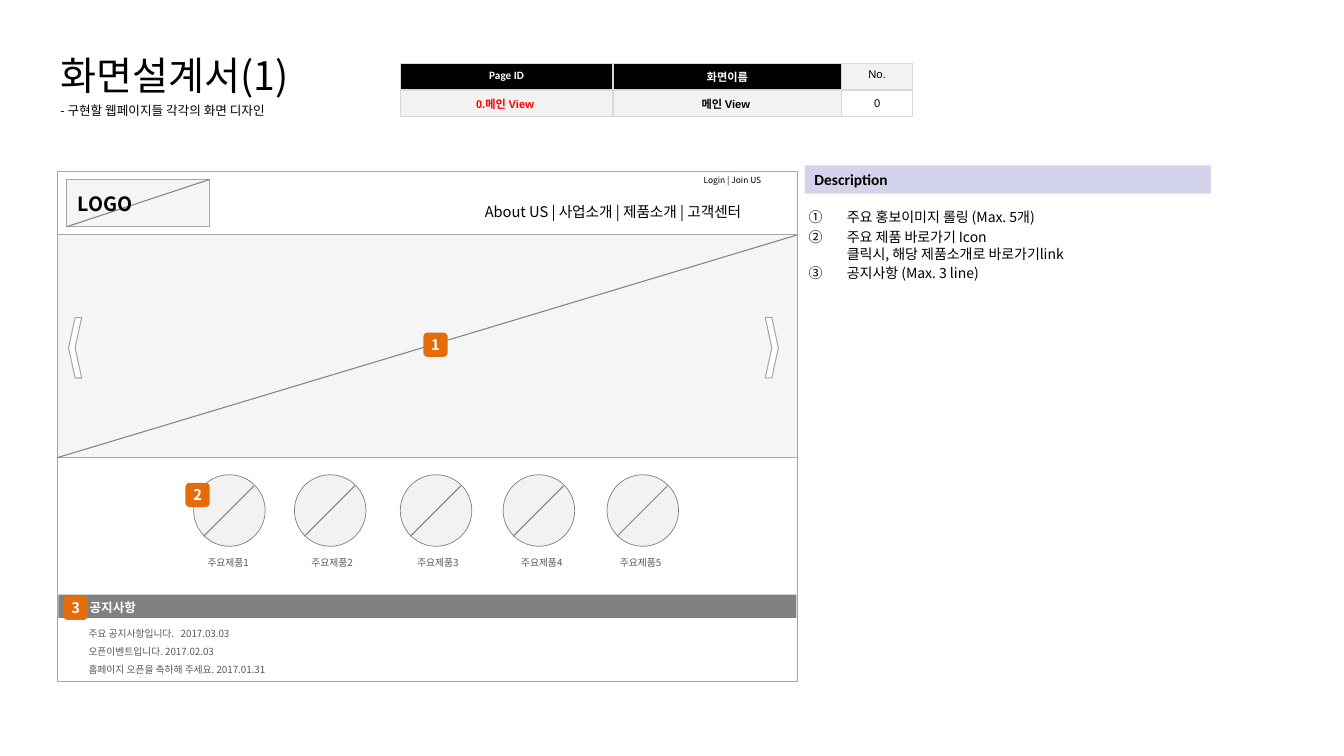
"""Build a screen design slide with a web page wireframe and its description."""
from lxml.etree import SubElement
from pptx import Presentation
from pptx.dml.color import RGBColor
from pptx.enum.shapes import MSO_CONNECTOR, MSO_SHAPE as SHAPE
from pptx.enum.text import MSO_ANCHOR as ANCHOR, MSO_AUTO_SIZE as AUTO, PP_ALIGN as ALIGN
from pptx.oxml.ns import qn
from pptx.util import Inches, Pt

FONT = "Noto Sans CJK KR"
COLORS = {
    "black": "000000", "white": "FFFFFF", "red": "FF0000", "text": "595959",
    "pale": "F2F2F2", "border": "D9D9D9", "edge": "A6A6A6", "gray": "808080",
    "badge": "E46C0A", "lilac": "D3D3EB",
}


def rgb(name):
    return RGBColor.from_string(COLORS[name])


def add_run(p, text, size, color="black", bold=False, font=FONT):
    r = p.add_run()
    r.text = text
    r.font.size = Pt(size)
    r.font.bold = bold
    r.font.name = font
    r.font.color.rgb = rgb(color)
    SubElement(r._r.get_or_add_rPr(), qn("a:ea"), typeface=FONT)


def write(sp, lines, size, color="black", bold=False, font=FONT, align=ALIGN.LEFT,
          anchor=ANCHOR.MIDDLE, wrap=True, spacing=None, side=0.1):
    tf = sp.text_frame
    tf.word_wrap = wrap
    tf.auto_size = AUTO.NONE
    tf.vertical_anchor = anchor
    tf.margin_left = tf.margin_right = Inches(side)
    for i, line in enumerate(lines):
        p = tf.add_paragraph() if i else tf.paragraphs[0]
        p.alignment = align
        p.line_spacing = spacing
        add_run(p, line, size, color, bold, font)


def add_text(slide, box, text, size, **style):
    sp = slide.shapes.add_textbox(*map(Inches, box))
    write(sp, [text], size, **style)


def add_box(slide, kind, box, fill=None, line=None, width=0.75, opacity=None):
    sp = slide.shapes.add_shape(kind, *map(Inches, box))
    sp.shadow.inherit = False
    if fill:
        sp.fill.solid()
        sp.fill.fore_color.rgb = rgb(fill)
    else:
        sp.fill.background()
    if opacity:
        color = sp.fill._xPr.find(".//" + qn("a:srgbClr"))
        SubElement(color, qn("a:alpha"), val=str(opacity * 1000))
    if line:
        sp.line.color.rgb = rgb(line)
        sp.line.width = Pt(width)
    else:
        sp.line.fill.background()
    return sp


def add_diagonal(slide, left, top, width, height):
    ends = left + width, top, left, top + height
    line = slide.shapes.add_connector(MSO_CONNECTOR.STRAIGHT, *map(Inches, ends))
    line.line.color.rgb = rgb("gray")
    line.line.width = Pt(0.75)
    SubElement(line._element.spPr, qn("a:effectLst"))


def add_image_slot(slide, box):
    add_box(slide, SHAPE.RECTANGLE, box, "pale", "edge", opacity=70)
    add_diagonal(slide, *box)


def add_product(slide, left, label_left, label):
    add_box(slide, SHAPE.OVAL, (left, 4.71, 0.71, 0.71), "pale", "gray", 0.5)
    add_diagonal(slide, left + 0.1, 4.82, 0.5, 0.5)
    add_text(slide, (label_left, 5.46, 0.78, 0.25), label, 7, color="text")


def add_badge(slide, left, top, number):
    sp = add_box(slide, SHAPE.ROUNDED_RECTANGLE, (left, top, 0.24, 0.24), "badge")
    write(sp, [number], 10.5, "white", True, align=ALIGN.CENTER, side=0)


def add_borders(cell):
    tc_pr = cell._tc.get_or_add_tcPr()
    for i, side in enumerate(("lnL", "lnR", "lnT", "lnB")):
        ln = tc_pr.makeelement(qn("a:" + side), {"w": str(Pt(1))})
        fill = SubElement(ln, qn("a:solidFill"))
        SubElement(fill, qn("a:srgbClr"), val=COLORS["border"])
        tc_pr.insert(i, ln)


def add_page_table(slide):
    rows = [
        [("Page ID", "white", True, "black", "Calibri"),
         ("화면이름", "white", True, "black", "Calibri"),
         ("No.", "black", False, "pale", "Arial")],
        [("0.메인 View ", "red", True, "pale", "Arial"),
         ("메인 View ", "black", True, "pale", "Arial"),
         ("0", "black", False, "white", "Arial")],
    ]
    box = map(Inches, (3.97, 0.63, 5.08, 0.52))
    table = slide.shapes.add_table(2, 3, *box).table
    table.first_row = table.horz_banding = False
    for column, width in zip(table.columns, (2.11, 2.27, 0.7)):
        column.width = Inches(width)
    for i, row in enumerate(rows):
        for j, (text, color, bold, fill, font) in enumerate(row):
            cell = table.cell(i, j)
            cell.fill.solid()
            cell.fill.fore_color.rgb = rgb(fill)
            cell.vertical_anchor = ANCHOR.MIDDLE if i else ANCHOR.TOP
            p = cell.text_frame.paragraphs[0]
            p.alignment = ALIGN.CENTER
            add_run(p, text, 8, color, bold, font)
            add_borders(cell)


def add_description(slide):
    items = [
        ["주요 홍보이미지 롤링 (Max. 5개)"],
        ["주요 제품 바로가기 Icon", "클릭시, 해당 제품소개로 바로가기link"],
        ["공지사항 (Max. 3 line)"],
    ]
    header = add_box(slide, SHAPE.RECTANGLE, (7.98, 1.64, 4.03, 0.28), "lilac")
    write(header, ["Description"], 11, bold=True, font="Calibri")
    sp = slide.shapes.add_textbox(*map(Inches, (7.98, 2.02, 4.03, 4.75)))
    tf = sp.text_frame
    tf.word_wrap = True
    tf.margin_left, tf.margin_right = Inches(0.04), 0
    for i, lines in enumerate(items):
        p = tf.add_paragraph() if i else tf.paragraphs[0]
        p.space_before = Pt(2)
        p_pr = p._p.get_or_add_pPr()
        p_pr.set("marL", str(Inches(0.38)))
        p_pr.set("indent", str(-Inches(0.38)))
        SubElement(p_pr, qn("a:buFont"), typeface=FONT)
        SubElement(p_pr, qn("a:buAutoNum"), type="circleNumDbPlain")
        for j, line in enumerate(lines):
            if j:
                p.add_line_break()
            add_run(p, line, 10)


def add_header(slide):
    add_box(slide, SHAPE.RECTANGLE, (0.57, 1.7, 7.34, 0.63), "white", "edge", opacity=70)
    add_text(slide, (4.71, 1.96, 3.01, 0.28),
             "About US | 사업소개 | 제품소개 | 고객센터", 10.5, wrap=False)
    add_text(slide, (6.88, 1.69, 0.78, 0.2), "Login | Join US", 6, wrap=False)
    add_image_slot(slide, (0.66, 1.78, 1.42, 0.47))
    add_text(slide, (0.67, 1.86, 0.74, 0.33), "LOGO", 14, bold=True, wrap=False)


def add_notices(slide):
    notices = ["주요 공지사항입니다.   2017.03.03", "오픈이벤트입니다. 2017.02.03",
               "홈페이지 오픈을 축하해 주세요. 2017.01.31"]
    add_text(slide, (0.79, 5.9, 0.78, 0.25), "공지사항", 9, color="white", bold=True)
    sp = slide.shapes.add_textbox(*map(Inches, (0.78, 6.18, 4.21, 0.51)))
    write(sp, notices, 7, "text", spacing=1.5)


def main():
    prs = Presentation()
    prs.slide_width, prs.slide_height = Inches(13.33), Inches(7.5)
    slide = prs.slides.add_slide(prs.slide_layouts[5])
    title = slide.shapes.title
    title.left, title.top, title.width, title.height = map(Inches, (0.5, 0.41, 12.49, 0.67))
    write(title, ["화면설계서(1)"], 28)
    add_text(slide, (0.5, 0.93, 12.49, 0.33), "- 구현할 웹페이지들 각각의 화면 디자인", 9)
    add_page_table(slide)

    add_box(slide, SHAPE.RECTANGLE, (0.57, 1.7, 7.34, 5.06), "white", "edge", opacity=70)
    add_box(slide, SHAPE.RECTANGLE, (0.58, 5.9, 7.32, 0.23), "gray")
    add_image_slot(slide, (0.57, 2.33, 7.34, 2.21))
    for left, rotation in ((7.59, 0), (0.68, 180)):
        arrow = add_box(slide, SHAPE.CHEVRON, (left, 3.15, 0.13, 0.6), "white", "edge")
        arrow.rotation = rotation
    add_header(slide)
    lefts = (1.92, 2.92, 3.97, 4.99, 6.02)
    label_lefts = (1.96, 2.99, 4.04, 5.07, 6.05)
    for i, (left, label_left) in enumerate(zip(lefts, label_lefts), 1):
        add_product(slide, left, label_left, f"주요제품{i}")
    add_notices(slide)
    for left, top, number in ((1.84, 4.79, "2"), (4.2, 3.3, "1"), (0.63, 5.91, "3")):
        add_badge(slide, left, top, number)
    add_description(slide)
    prs.save("out.pptx")


if __name__ == "__main__":
    main()
